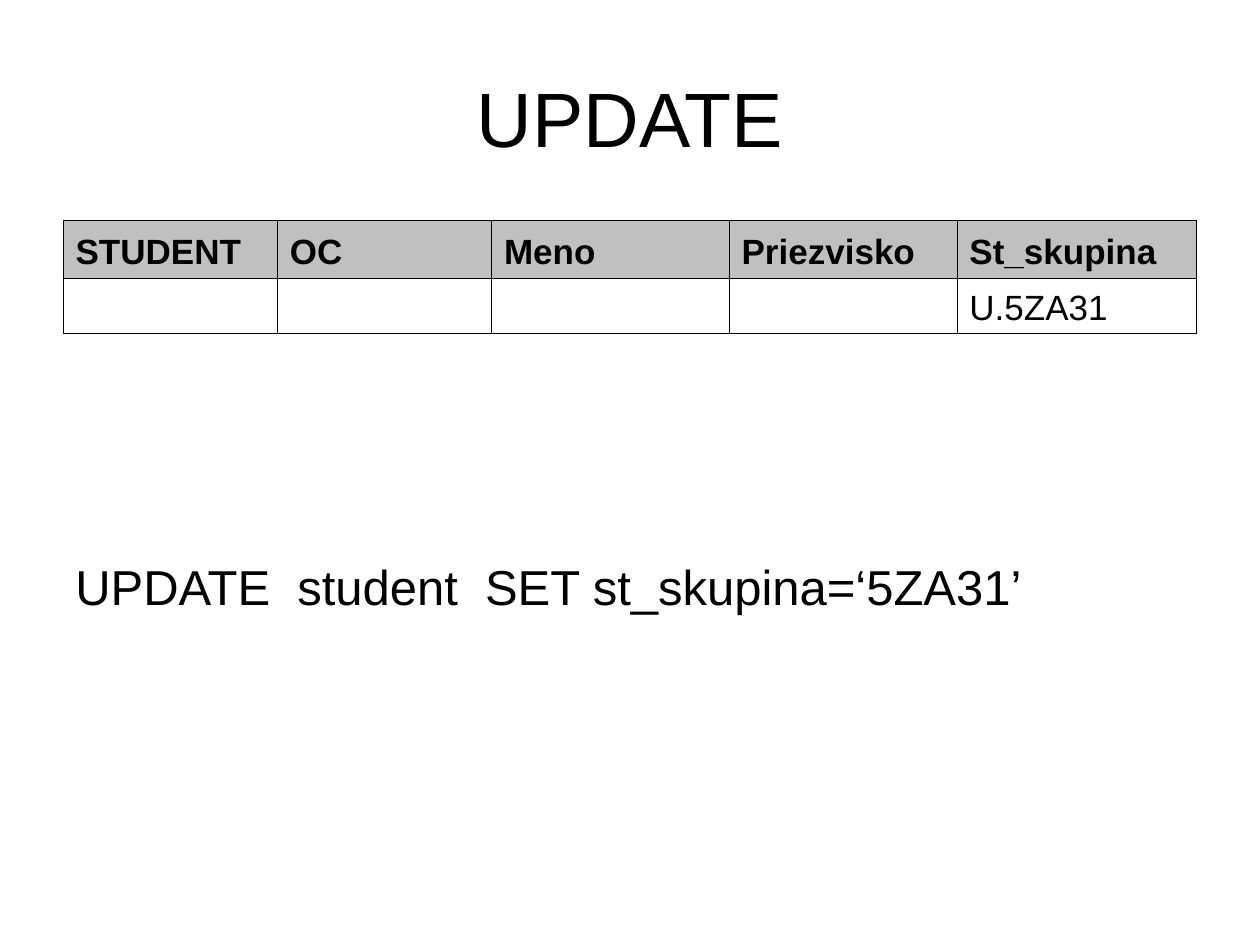
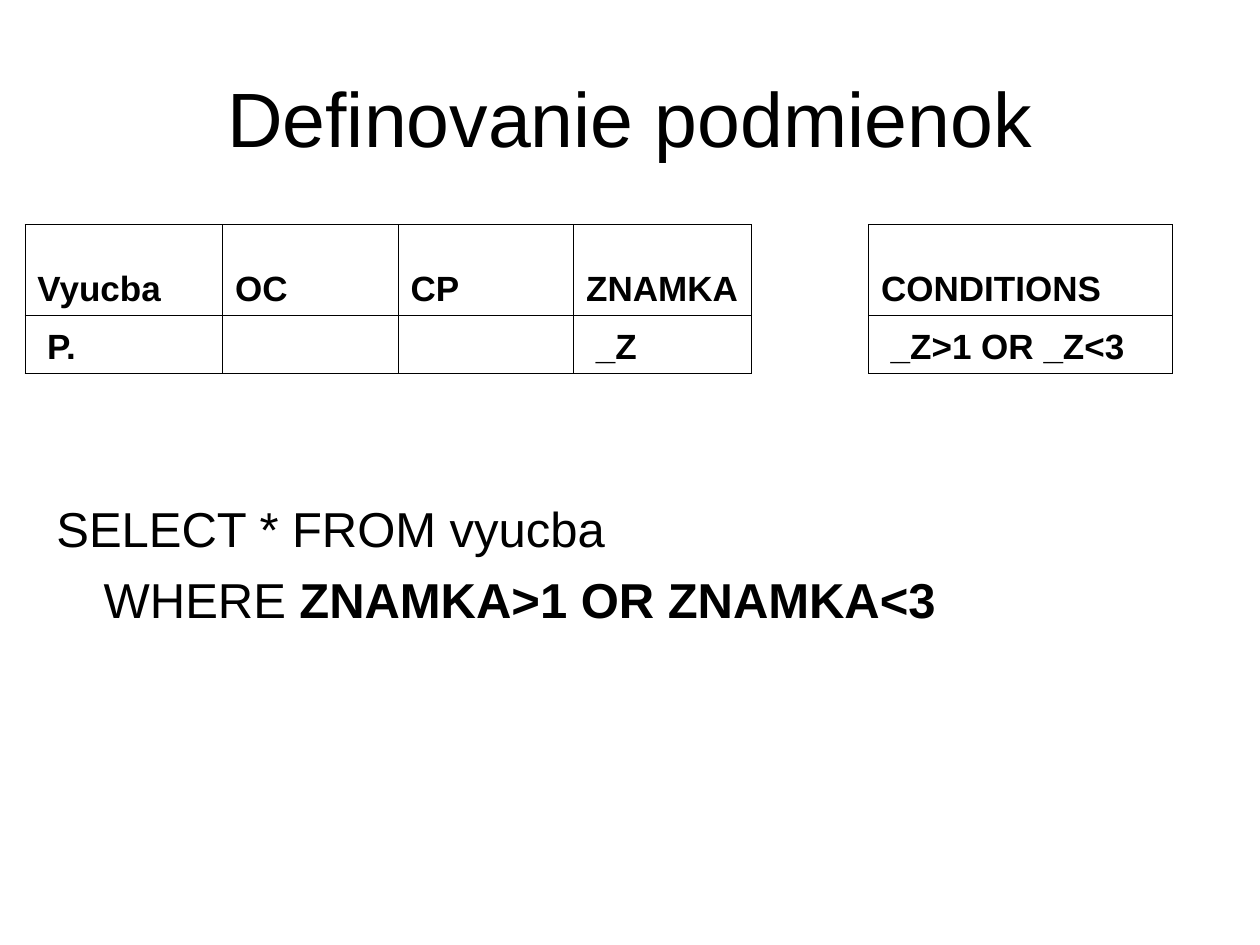
from lxml import etree
from pptx import Presentation
from pptx.dml.color import RGBColor
from pptx.enum.text import MSO_ANCHOR, PP_ALIGN
from pptx.oxml.ns import qn
from pptx.util import Pt

MIDDLE, BOTTOM = MSO_ANCHOR.MIDDLE, MSO_ANCHOR.BOTTOM
CENTER = PP_ALIGN.CENTER
BLACK = RGBColor(0x00, 0x00, 0x00)
HEADER_GREY = RGBColor(0xC0, 0xC0, 0xC0)
FONT = "Arial"
TITLE_SIZE, BODY_SIZE, CELL_SIZE = 44, 28, 20
TITLE_BOX = (36, 21.6, 648, 90)
THIN, MEDIUM = 0.45, 0.96
INDENT = 27
SIDE_INSET, END_INSET = 7.2, 3.6


def add_run(paragraph, text, size, bold=False):
    """Append one run in the shared font and colour."""
    run = paragraph.add_run()
    run.text = text
    run.font.name = FONT
    run.font.size = Pt(size)
    run.font.bold = bold
    run.font.color.rgb = BLACK


def set_insets(target, top=END_INSET):
    """Give a text frame or a table cell the shared margins."""
    target.margin_left = target.margin_right = Pt(SIDE_INSET)
    target.margin_top, target.margin_bottom = Pt(top), Pt(END_INSET)


def add_text_frame(slide, box, top_inset=END_INSET):
    """Add a wrapping text box and return its text frame."""
    frame = slide.shapes.add_textbox(*map(Pt, box)).text_frame
    frame.word_wrap = True
    set_insets(frame, top_inset)
    return frame


def add_title(slide, text):
    """Place the centred slide title."""
    frame = add_text_frame(slide, TITLE_BOX)
    frame.vertical_anchor = MIDDLE
    frame.paragraphs[0].alignment = CENTER
    add_run(frame.paragraphs[0], text, TITLE_SIZE)


def add_statement(slide, box, lines, top_inset=END_INSET):
    """Write an SQL statement; every line after the first is indented.

    Each line is a list of (text, bold) pairs.
    """
    frame = add_text_frame(slide, box, top_inset)
    for index, line in enumerate(lines):
        paragraph = frame.add_paragraph() if index else frame.paragraphs[0]
        paragraph.space_before = Pt(7)
        if index:
            paragraph._p.get_or_add_pPr().set("marL", str(Pt(INDENT)))
        for text, bold in line:
            add_run(paragraph, text, BODY_SIZE, bold)


def set_borders(cell, left, right, top, bottom):
    """Draw the cell borders in black; a width of 0 means no line."""
    properties = cell._tc.get_or_add_tcPr()
    for side, width in zip("LRTB", (left, right, top, bottom)):
        line = etree.SubElement(properties, qn(f"a:ln{side}"), w=str(Pt(width)))
        if width:
            fill = etree.SubElement(line, qn("a:solidFill"))
            etree.SubElement(fill, qn("a:srgbClr"), val=str(BLACK))
        else:
            etree.SubElement(line, qn("a:noFill"))


def add_grid(slide, position, widths, heights, rows, header_fill=None,
             bold_rows=(0,), divider=THIN, gap_column=None):
    """Add a query grid; the gap column has no top, middle or bottom line."""
    box = (*position, sum(widths), sum(heights))
    table = slide.shapes.add_table(len(rows), len(widths), *map(Pt, box)).table
    table.first_row = table.horz_banding = False
    for column, width in zip(table.columns, widths):
        column.width = Pt(width)
    for row, height in zip(table.rows, heights):
        row.height = Pt(height)
    last_row = len(rows) - 1
    for row_index, texts in enumerate(rows):
        for column_index, text in enumerate(texts):
            cell = table.cell(row_index, column_index)
            set_insets(cell)
            cell.vertical_anchor = BOTTOM
            top = divider if row_index else THIN
            bottom = divider if row_index < last_row else THIN
            if column_index == gap_column:
                top = bottom = 0
            set_borders(cell, THIN, THIN, top, bottom)
            if header_fill is not None and row_index == 0:
                cell.fill.solid()
                cell.fill.fore_color.rgb = header_fill
            else:
                cell.fill.background()
            if text:
                add_run(cell.text_frame.paragraphs[0], text, CELL_SIZE,
                        row_index in bold_rows)


def build_update_slide(slide):
    """Show an update through a query grid and in SQL."""
    add_title(slide, "UPDATE")
    add_grid(slide, (36, 126), (122.4, 122.4, 135.8, 130.2, 136.6), (33.1, 31.6),
             [("STUDENT", "OC", "Meno", "Priezvisko", "St_skupina"),
              ("", "", "", "", "U.5ZA31")],
             header_fill=HEADER_GREY, divider=MEDIUM)
    add_statement(slide, (36, 236.2, 648, 272.2),
                  [[("UPDATE  student  SET st_skupina=‘5ZA31’", False)]],
                  top_inset=82)


def build_conditions_slide(slide):
    """Show a condition box beside a query grid, and the same in SQL."""
    add_title(slide, "Definovanie podmienok")
    add_statement(slide, (25.2, 281.5, 648, 172),
                  [[("SELECT * FROM vyucba", False)],
                   [("WHERE ", False), ("ZNAMKA>1 OR ZNAMKA<3", True)]])
    add_grid(slide, (14.2, 128.2), (113, 100.3, 100.3, 101.5, 67, 173.5), (52, 33.1),
             [("Vyucba", "OC", "CP", "ZNAMKA", "", "CONDITIONS"),
              ("\u00a0P.", "", "", "\u00a0_Z", "", "\u00a0_Z>1 OR _Z<3")],
             bold_rows=(0, 1), gap_column=4)


def main():
    """Build and save the presentation."""
    presentation = Presentation()
    presentation.slide_width, presentation.slide_height = Pt(720), Pt(540)
    blank_layout = presentation.slide_layouts[6]
    for build in (build_update_slide, build_conditions_slide):
        build(presentation.slides.add_slide(blank_layout))
    presentation.save("out.pptx")


main()
